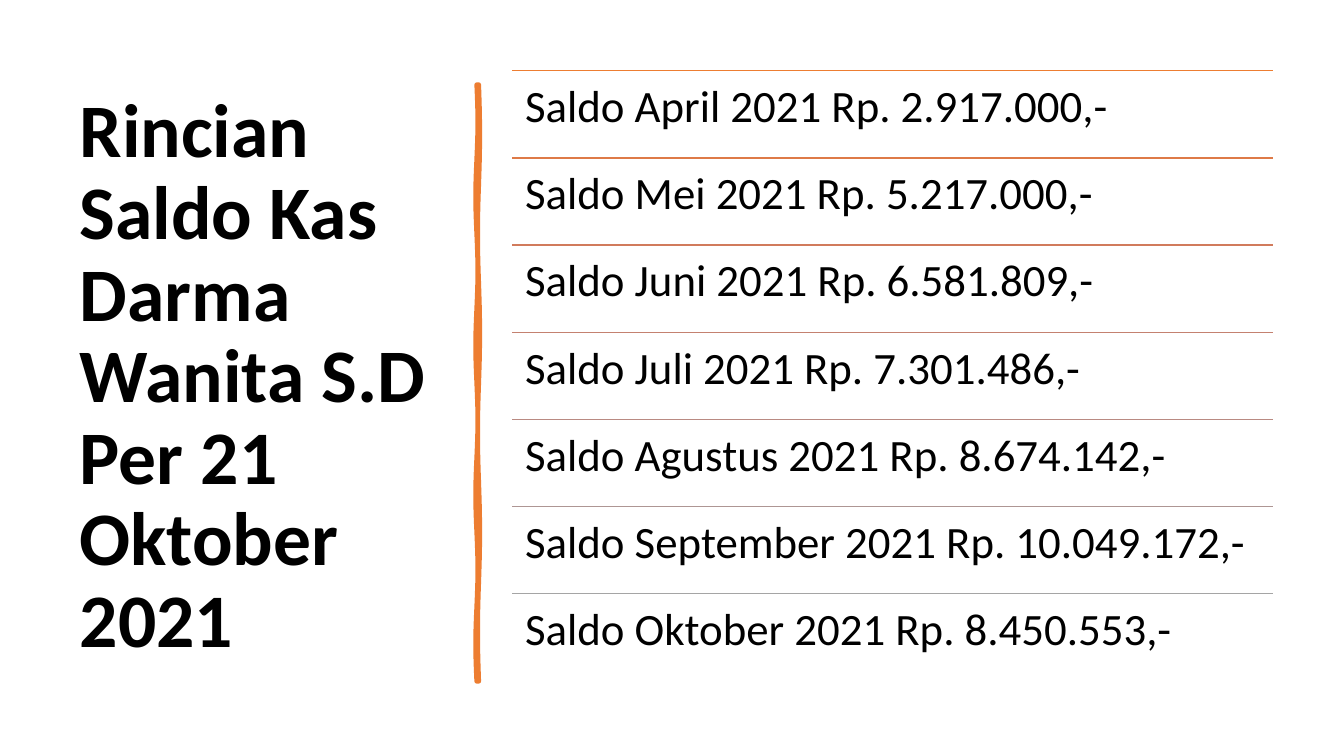
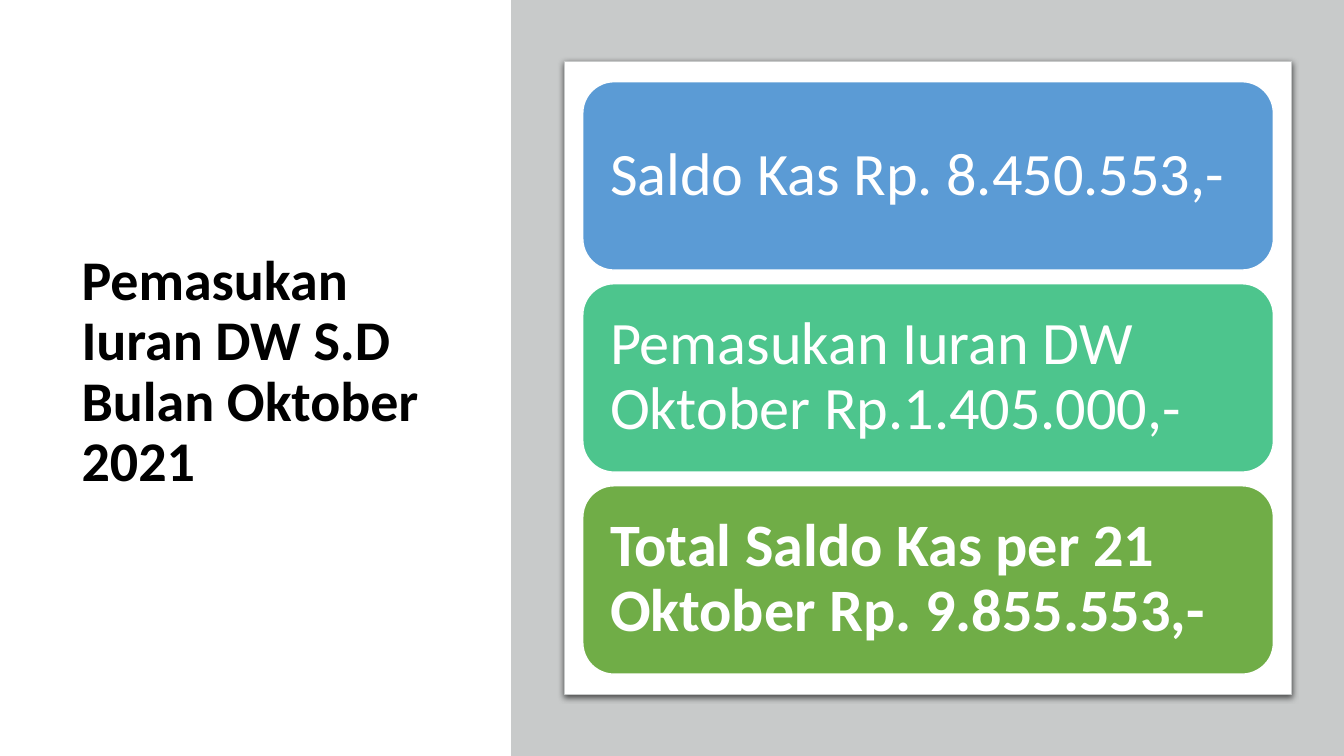
from dataclasses import dataclass
from math import pi, sin

from lxml.etree import SubElement
from pptx import Presentation
from pptx.dml.color import RGBColor
from pptx.enum.shapes import MSO_CONNECTOR as Connector, MSO_SHAPE as Shape
from pptx.enum.text import MSO_ANCHOR as Anchor, PP_ALIGN as Align
from pptx.oxml.ns import qn
from pptx.util import Emu, Inches, Pt

FONT = "Calibri"
BLACK = RGBColor(0x00, 0x00, 0x00)
WHITE = RGBColor(0xFF, 0xFF, 0xFF)
ORANGE = RGBColor(0xED, 0x7D, 0x31)
GRAY = RGBColor(0xC8, 0xCA, 0xCA)
BLUE = RGBColor(0x5B, 0x9B, 0xD5)
MINT = RGBColor(0x4D, 0xC5, 0x8D)
GREEN = RGBColor(0x70, 0xAD, 0x47)

BALANCES = [
    ("Saldo April 2021 Rp. 2.917.000,-", ORANGE),
    ("Saldo Mei 2021 Rp. 5.217.000,-", RGBColor(0xDE, 0x7A, 0x47)),
    ("Saldo Juni 2021 Rp. 6.581.809,-", RGBColor(0xD1, 0x7B, 0x5C)),
    ("Saldo Juli 2021 Rp. 7.301.486,-", RGBColor(0xC4, 0x81, 0x70)),
    ("Saldo Agustus 2021 Rp. 8.674.142,-", RGBColor(0xB9, 0x8A, 0x82)),
    ("Saldo September 2021 Rp. 10.049.172,-", RGBColor(0xAE, 0x96, 0x94)),
    ("Saldo Oktober 2021 Rp. 8.450.553,-", RGBColor(0xA5, 0xA5, 0xA5)),
]
INCOME = [
    ("Saldo Kas Rp. 8.450.553,-", BLUE, False),
    ("Pemasukan Iuran DW Oktober Rp.1.405.000,-", MINT, False),
    ("Total Saldo Kas per 21 Oktober Rp. 9.855.553,-", GREEN, True),
]


@dataclass
class Box:
    left: int
    top: int
    width: int
    height: int

    def percent(self, left, top, width, height):
        return Box(
            Emu(round(self.left + self.width * left / 100)),
            Emu(round(self.top + self.height * top / 100)),
            Emu(round(self.width * width / 100)),
            Emu(round(self.height * height / 100)),
        )

    def rows(self, count, gap=0):
        height = (100 - gap * (count - 1)) / count
        return [self.percent(0, i * (height + gap), 100, height) for i in range(count)]

    def place(self):
        return self.left, self.top, self.width, self.height


def write(frame, text, size, color, bold=False, anchor=Anchor.MIDDLE, inset=None):
    frame.word_wrap = True
    frame.vertical_anchor = anchor
    if inset is not None:
        frame.margin_left = frame.margin_right = inset
        frame.margin_top = frame.margin_bottom = inset
    paragraph = frame.paragraphs[0]
    paragraph.alignment = Align.LEFT
    paragraph.line_spacing = 0.9
    run = paragraph.add_run()
    run.text = text
    run.font.name = FONT
    run.font.size = Pt(size)
    run.font.bold = bold
    run.font.color.rgb = color


def paint(shape, fill, line=None, weight=1):
    shape.shadow.inherit = False
    shape.fill.solid()
    shape.fill.fore_color.rgb = fill
    if line is None:
        shape.line.fill.background()
    else:
        shape.line.color.rgb = line
        shape.line.width = Pt(weight)


def add_title(slide, box, text, size):
    title = slide.shapes.add_textbox(*box.place())
    write(title.text_frame, text, size, BLACK, bold=True)


def add_brush_divider(slide, box, steps=48):
    def edge(left, waves):
        return [
            (left + box.width * sin(2 * pi * waves * i / steps) / 2,
             box.top + box.height * i / steps)
            for i in range(steps + 1)
        ]

    outline = edge(box.left, 4) + edge(box.left + box.width, 3)[::-1]
    points = [(round(x), round(y)) for x, y in outline]
    builder = slide.shapes.build_freeform(*points[0])
    builder.add_line_segments(points[1:])
    paint(builder.convert_to_shape(), ORANGE, ORANGE, 3.25)


def add_balance_list(slide, box):
    for row, (text, color) in zip(box.rows(len(BALANCES)), BALANCES):
        rule = slide.shapes.add_connector(
            Connector.STRAIGHT, row.left, row.top, row.left + row.width, row.top)
        rule.line.color.rgb = color
        rule.line.width = Pt(1)
        SubElement(rule.element.spPr, qn("a:effectLst"))
        entry = slide.shapes.add_textbox(*row.place())
        write(entry.text_frame, text, 32, BLACK, anchor=Anchor.TOP, inset=Inches(0.13))


def add_soft_shadow(shape):
    effects = shape.element.spPr.find(qn("a:effectLst"))
    shadow = SubElement(effects, qn("a:outerShdw"), blurRad=str(int(Pt(4.5))),
                        dist=str(int(Pt(1.5))), dir="5400000", algn="t", rotWithShape="0")
    color = SubElement(shadow, qn("a:srgbClr"), val=str(BLACK))
    SubElement(color, qn("a:alpha"), val="63000")


def add_income_panel(slide, box):
    band = slide.shapes.add_shape(Shape.RECTANGLE, *box.place())
    paint(band, GRAY)
    panel_box = box.percent(6.42, 8.13, 87.29, 83.73)
    panel = slide.shapes.add_shape(Shape.RECTANGLE, *panel_box.place())
    paint(panel, WHITE, GRAY, 0.75)
    add_soft_shadow(panel)
    cards = panel_box.percent(2.5, 3.2, 95, 93.6).rows(len(INCOME), gap=2.3)
    for card_box, (text, color, bold) in zip(cards, INCOME):
        card = slide.shapes.add_shape(Shape.ROUNDED_RECTANGLE, *card_box.place())
        paint(card, color, WHITE)
        write(card.text_frame, text, 43, WHITE, bold, inset=Inches(0.18))


def build_balance_slide(slide, page):
    add_title(slide, page.percent(5.2, 9.33, 28.05, 81.4),
              "Rincian Saldo Kas Darma Wanita S.D Per 21 Oktober 2021", 54)
    add_brush_divider(slide, page.percent(35.47, 11.2, 0.16, 78.93))
    add_balance_list(slide, page.percent(38.1, 9.36, 56.64, 80.7))


def build_income_slide(slide, page):
    add_title(slide, page.percent(5.33, 9.2, 30.08, 80.27),
              "Pemasukan Iuran DW S.D Bulan Oktober 2021", 40)
    add_income_panel(slide, page.percent(38.03, 0, 61.97, 100))


def main():
    deck = Presentation()
    deck.slide_width = Inches(13.33)
    deck.slide_height = Inches(7.5)
    page = Box(0, 0, deck.slide_width, deck.slide_height)
    for build in (build_balance_slide, build_income_slide):
        build(deck.slides.add_slide(deck.slide_layouts[6]), page)
    deck.save("out.pptx")


if __name__ == "__main__":
    main()
